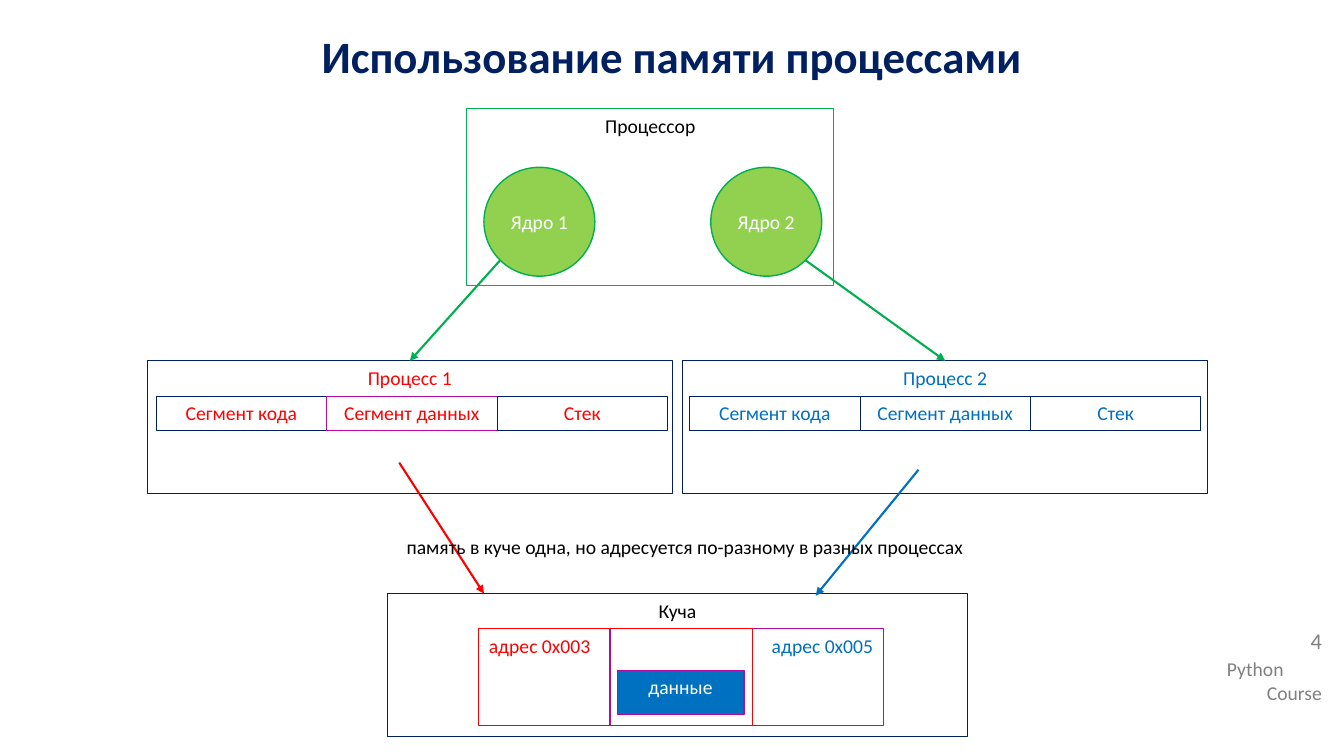
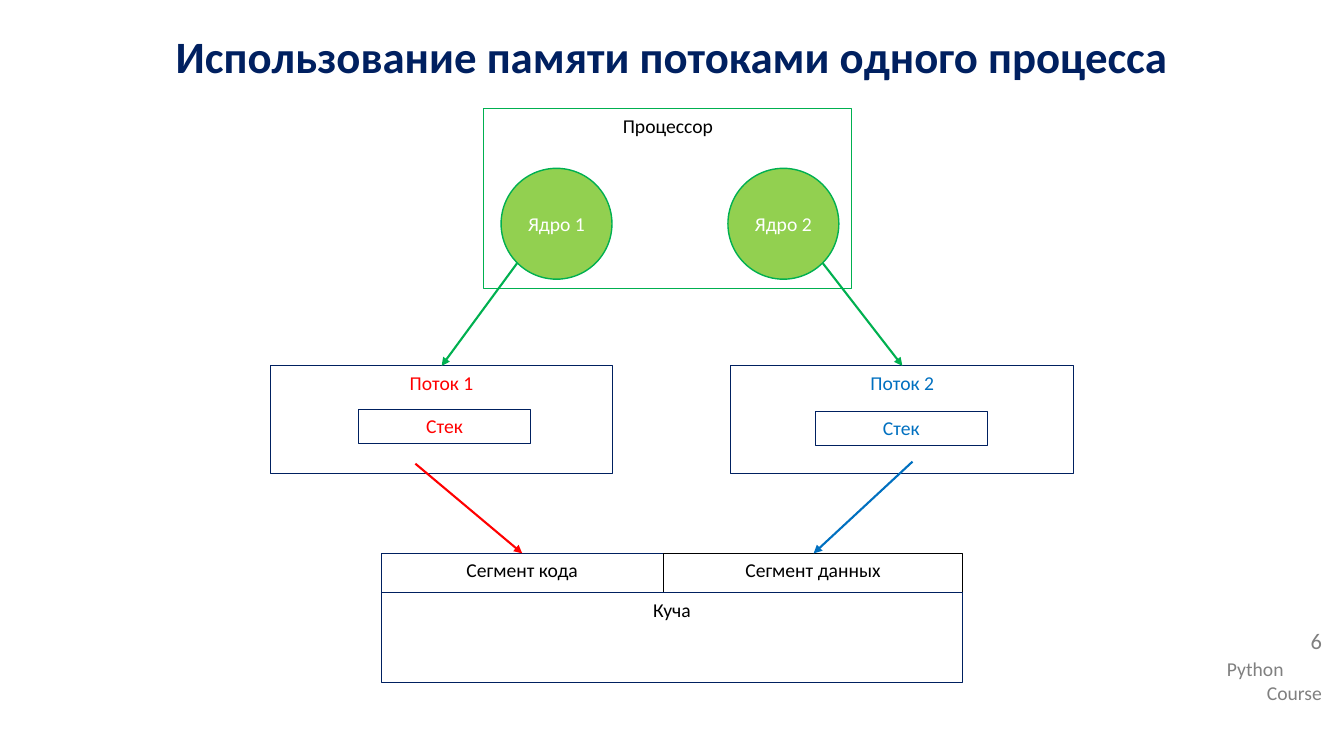
from dataclasses import dataclass

from lxml import etree
from pptx import Presentation
from pptx.dml.color import RGBColor
from pptx.enum.shapes import MSO_CONNECTOR, MSO_SHAPE
from pptx.enum.text import MSO_ANCHOR, PP_ALIGN
from pptx.oxml.ns import qn
from pptx.util import Pt

RECT, OVAL = MSO_SHAPE.RECTANGLE, MSO_SHAPE.OVAL
STRAIGHT = MSO_CONNECTOR.STRAIGHT
LEFT, CENTER, RIGHT = PP_ALIGN.LEFT, PP_ALIGN.CENTER, PP_ALIGN.RIGHT
TOP, MIDDLE = MSO_ANCHOR.TOP, MSO_ANCHOR.MIDDLE

EMU_PER_PX = 9144  # 100 px to the inch
TITLE_ONLY = 5


@dataclass(frozen=True)
class Theme:
    font: str = "Calibri"
    navy: str = "002060"
    red: str = "FF0000"
    blue: str = "0070C0"
    green: str = "00B050"
    lime: str = "92D050"
    purple: str = "B40AA0"
    black: str = "000000"
    white: str = "FFFFFF"
    grey: str = "808080"
    title_size: int = 32
    number_size: int = 16
    body_size: int = 14
    thin: float = 0.75
    core_line: float = 1
    arrow_line: float = 1.5


def px(n):
    return round(n * EMU_PER_PX)


def rgb(color):
    return RGBColor.from_string(color)


class Deck:
    def __init__(self, theme):
        self.theme = theme
        self.prs = Presentation()
        self.prs.slide_width, self.prs.slide_height = px(1333), px(750)
        self.s = None

    def new_slide(self, title, number):
        t = self.theme
        self.s = self.prs.slides.add_slide(self.prs.slide_layouts[TITLE_ONLY])
        sp = self.s.shapes.title
        sp.left, sp.top, sp.width, sp.height = map(px, (0, 23, 1333, 76))
        self.add_text(sp.text_frame, [(title, CENTER)], t.navy, t.title_size, bold=True)
        sp.text_frame.paragraphs[0].space_after = Pt(5)
        self.label((1207, 647, 114, 57), [("Python", LEFT), ("Course", RIGHT)], t.grey)
        tf = self.label((1207, 620, 114, 45), [(number, RIGHT)], t.grey, t.number_size)
        tf.paragraphs[0].line_spacing = 0.9

    def add_text(self, tf, lines, color, size=None, anchor=TOP, bold=False):
        """Fill a text frame; lines holds (text, alignment) pairs."""
        tf.word_wrap = True
        tf.vertical_anchor = anchor
        for i, (text, align) in enumerate(lines):
            p = tf.paragraphs[0] if i == 0 else tf.add_paragraph()
            p.alignment = align
            r = p.add_run()
            r.text = text
            r.font.name = self.theme.font
            r.font.size = Pt(size or self.theme.body_size)
            r.font.bold = bold
            r.font.color.rgb = rgb(color)

    def label(self, box, lines, color, size=None):
        tf = self.s.shapes.add_textbox(*map(px, box)).text_frame
        self.add_text(tf, lines, color, size)
        return tf

    def shape(self, box, text, color, line=None, fill=None, kind=RECT,
              weight=None, align=CENTER, anchor=TOP):
        t = self.theme
        sp = self.s.shapes.add_shape(kind, *map(px, box))
        sp.shadow.inherit = False
        if fill:
            sp.fill.solid()
            sp.fill.fore_color.rgb = rgb(fill)
        else:
            sp.fill.background()
        sp.line.color.rgb = rgb(line or t.navy)
        sp.line.width = Pt(weight or t.thin)
        self.add_text(sp.text_frame, [(text, align)], color, anchor=anchor)

    def arrow(self, start, end, color):
        c = self.s.shapes.add_connector(STRAIGHT, *map(px, (*start, *end)))
        c.line.color.rgb = rgb(color)
        c.line.width = Pt(self.theme.arrow_line)
        props = c.element.spPr
        etree.SubElement(props.find(qn("a:ln")), qn("a:tailEnd"), type="triangle")
        etree.SubElement(props, qn("a:effectLst"))

    def processor(self, box, core_top, core_height, targets):
        """Draw a processor whose cores each point at the top of a target box."""
        t = self.theme
        width = 110
        inset = 0.5 - 0.125 ** 0.5  # where the diagonal meets the oval
        self.shape(box, "Процессор", t.black, t.green)
        cores = ((17, inset), (242, 1 - inset))
        for i, ((offset, edge), target) in enumerate(zip(cores, targets), 1):
            left = box[0] + offset
            self.shape((left, core_top, width, core_height), f"Ядро {i}", t.white,
                       t.green, t.lime, OVAL, t.core_line, anchor=MIDDLE)
            start = left + width * edge, core_top + core_height * (1 - inset)
            self.arrow(start, (target[0] + target[2] / 2, target[1]), t.green)


def processes_slide(d):
    t = d.theme
    d.new_slide("Использование памяти процессами", "4")
    processes = [(146, 358, 521, 132), (677, 358, 521, 132)]
    segments = ("Сегмент кода", "Сегмент данных", "Стек")
    segment_lines = ((t.navy, t.purple, t.navy), (t.navy,) * 3)
    details = zip(processes, (155, 684), (t.red, t.blue), segment_lines)
    for i, (box, left, color, lines) in enumerate(details, 1):
        d.shape(box, f"Процесс {i}", color)
        for j, (text, line) in enumerate(zip(segments, lines)):
            d.shape((left + 169 * j, 393, 169, 34), text, color, line)
    d.shape((384, 589, 576, 142), "Куча", t.black)
    d.processor((463, 108, 364, 175), 166, 108, processes)
    d.arrow((396, 459), (480, 589), t.red)
    d.arrow((911, 466), (809, 591), t.blue)
    d.shape((612, 665, 126, 44), "данные", t.white, t.purple, t.blue)
    d.shape((605, 624, 271, 96), "адрес 0x005", t.blue, t.purple, align=RIGHT)
    d.shape((475, 624, 271, 96), "адрес 0x003", t.red, t.red, align=LEFT)
    note = "память в куче одна, но адресуется по-разному в разных процессах"
    d.label((362, 526, 635, 39), [(note, CENTER)], t.black)


def threads_slide(d):
    t = d.theme
    d.new_slide("Использование памяти потоками одного процесса", "6")
    threads = [(268, 363, 340, 107), (725, 363, 340, 107)]
    stacks = [(356, 406, 170, 34), (809, 408, 170, 34)]
    for i, (box, stack, color) in enumerate(zip(threads, stacks, (t.red, t.blue)), 1):
        d.shape(box, f"Поток {i}", color)
        d.shape(stack, "Стек", color)
    d.shape((378, 549, 280, 39), "Сегмент кода", t.black)
    d.shape((658, 549, 297, 39), "Сегмент данных", t.black, t.black)
    d.shape((378, 588, 577, 89), "Куча", t.black)
    d.processor((480, 108, 365, 178), 167, 110, threads)
    d.arrow((412, 460), (518, 549), t.red)
    d.arrow((905, 458), (807, 549), t.blue)


def main():
    d = Deck(Theme())
    processes_slide(d)
    threads_slide(d)
    d.prs.save("out.pptx")


if __name__ == "__main__":
    main()
